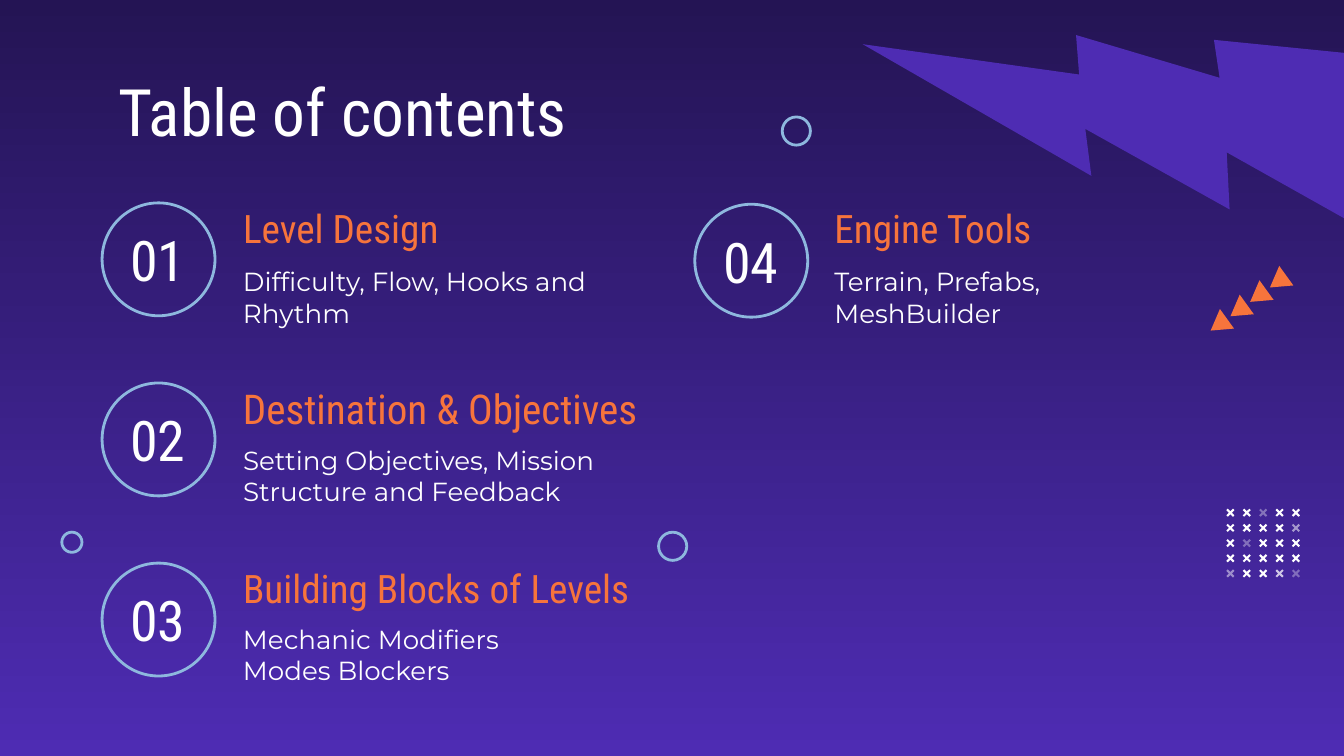
import pptx
import pptx.util
import pptx.dml.color
import pptx.enum.shapes
import pptx.enum.text
import pptx.oxml
import pptx.oxml.ns

Inches = pptx.util.Inches
Kind = pptx.enum.shapes.MSO_SHAPE
Align = pptx.enum.text.PP_ALIGN
Anchor = pptx.enum.text.MSO_ANCHOR

COLORS = {
    "night": "241454",
    "violet": "4E2CB3",
    "sky": "8EB8DE",
    "orange": "F7743C",
    "white": "FFFFFF",
}
HEAD = "Roboto Condensed"
BODY = "Montserrat"


def tint(name):
    return pptx.dml.color.RGBColor.from_string(COLORS[name])


class Deck:
    def __init__(self):
        self.show = pptx.Presentation()
        self.show.slide_width = Inches(10)
        self.show.slide_height = Inches(10 * 9 / 16)
        self.slide = self.show.slides.add_slide(self.show.slide_layouts[5])

    def back(self, top, low):
        fill = self.slide.background.fill
        fill.gradient()
        fill.gradient_angle = 270
        for stop, name in zip(fill.gradient_stops, (top, low)):
            stop.color.rgb = tint(name)

    def style(self, box, text, size, color, font, align, anchor):
        frame = box.text_frame
        frame.text = text
        frame.word_wrap = True
        frame.auto_size = pptx.enum.text.MSO_AUTO_SIZE.NONE
        frame.vertical_anchor = anchor
        frame.margin_left = frame.margin_right = Inches(0.1)
        frame.margin_top = frame.margin_bottom = Inches(0.1)
        par = frame.paragraphs[0]
        par.alignment = align
        for run in par.runs:
            run.font.size = pptx.util.Pt(size)
            run.font.name = font
            run.font.color.rgb = tint(color)

    def title(self, text, x, y, w, h):
        box = self.slide.shapes.title
        box.left, box.top = Inches(x), Inches(y)
        box.width, box.height = Inches(w), Inches(h)
        self.style(box, text, 35, "white", HEAD, Align.LEFT, Anchor.TOP)

    def text(self, text, x, y, w, h, size, color="white", font=HEAD,
             align=Align.LEFT):
        box = self.slide.shapes.add_textbox(
            Inches(x), Inches(y), Inches(w), Inches(h))
        self.style(box, text, size, color, font, align, Anchor.MIDDLE)

    def solid(self, kind, x, y, w, h, color, turn, group=None):
        home = group or self.slide
        shape = home.shapes.add_shape(
            kind, Inches(x), Inches(y), Inches(w), Inches(h))
        shape.shadow.inherit = False
        shape.fill.solid()
        shape.fill.fore_color.rgb = tint(color)
        shape.line.fill.background()
        shape.rotation = turn
        return shape

    def ring(self, x, y, size):
        shape = self.slide.shapes.add_shape(
            Kind.OVAL, Inches(x), Inches(y), Inches(size), Inches(size))
        shape.shadow.inherit = False
        shape.fill.background()
        shape.line.color.rgb = tint("sky")
        shape.line.width = pptx.util.Pt(1.5)

    def bolt(self, x, y, size, turn):
        shape = self.solid(Kind.LIGHTNING_BOLT, x, y, size, size, "violet", turn)
        shape.element.spPr.find(pptx.oxml.ns.qn("a:xfrm")).set("flipH", "1")

    def trail(self, x, y, count):
        """Row of triangles that climbs to the right."""
        group = self.slide.shapes.add_group_shape()
        for i in range(count):
            self.solid(Kind.ISOSCELES_TRIANGLE, x - 0.147 * i, y + 0.107 * i,
                       0.18, 0.15, "orange", 234.2, group)

    def crosses(self, x, y, count, faint):
        """Square grid of crosses; faint maps (row, column) to opacity in %."""
        group = self.slide.shapes.add_group_shape()
        for row in range(count):
            for col in range(count):
                shape = self.solid(Kind.CROSS, x + 0.122 * col, y + 0.113 * row,
                                   0.07, 0.07, "white", 315, group)
                shape.adjustments[0] = 0.39
                if (row, col) in faint:
                    tag = shape.element.spPr.find(
                        ".//" + pptx.oxml.ns.qn("a:srgbClr"))
                    alpha = pptx.oxml.parse_xml(
                        "<a:alpha %s/>" % pptx.oxml.ns.nsdecls("a"))
                    alpha.set("val", str(faint[row, col] * 1000))
                    tag.append(alpha)

    def entry(self, num, head, note, col, row, size=21, wide=3.41, span=2.76):
        """Ringed number with a heading and a note beside it."""
        x, y = 0.76 + 4.41 * col, 1.51 + 1.34 * row
        drop = 0.01 * col
        side = 1.71 + 4.4 * col
        self.ring(x, y + drop, 0.84)
        self.text(num, x - 0.03, y - 0.06 + drop, 0.89, 0.96, 30,
                  align=Align.CENTER)
        self.text(head, side, y, wide, 0.37, size, "orange")
        self.text(note, side, 1.89 + 1.33 * row, span, 0.64, 14, font=BODY)


def main():
    deck = Deck()
    deck.back("night", "violet")
    deck.bolt(7, -0.68, 3.17, 59.9)
    deck.title("Table of contents", 0.78, 0.43, 8.43, 0.64)

    deck.entry("01", "Level Design", "Difficulty, Flow, Hooks and Rhythm", 0, 0)
    deck.entry("02", "Destination & Objectives",
               "Setting Objectives, Mission Structure and Feedback",
               0, 1, size=22, wide=3.67, span=2.99)
    deck.entry("03", "Building Blocks of Levels",
               "Mechanic Modifiers Modes Blockers", 0, 2)
    deck.entry("04", "Engine Tools", "Terrain, Prefabs, MeshBuilder", 1, 0)

    deck.crosses(9.12, 3.78, 5, {(0, 2): 36, (1, 4): 53, (2, 1): 34,
                                 (4, 0): 48, (4, 3): 75, (4, 4): 33})
    for x, y, size in ((0.46, 3.96, 0.15), (5.82, 0.87, 0.21),
                       (4.9, 3.96, 0.21)):
        deck.ring(x, y, size)
    deck.trail(9.42, 2.02, 4)
    deck.show.save("out.pptx")


if __name__ == "__main__":
    main()
